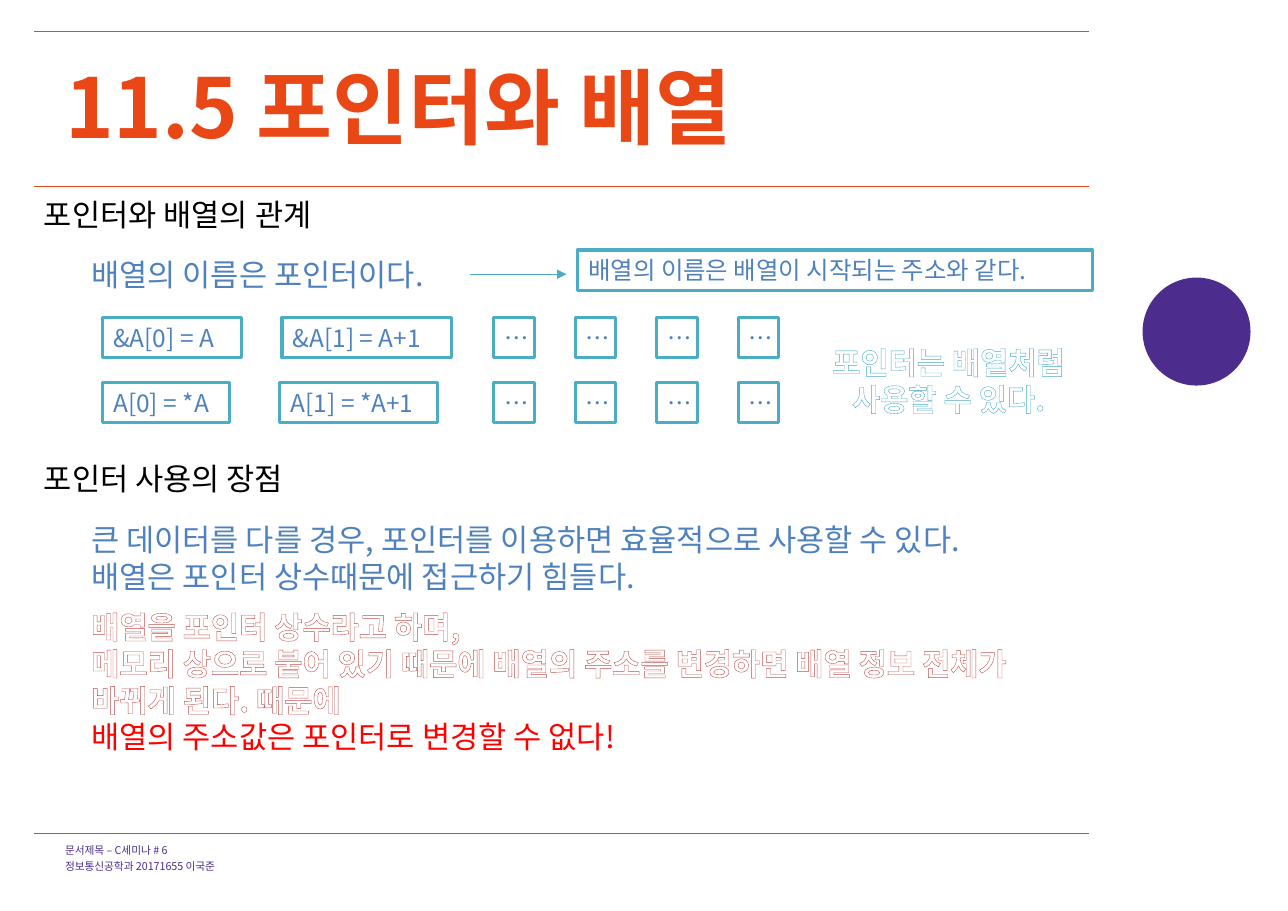
from lxml import etree
from pptx import Presentation
from pptx.dml.color import RGBColor
from pptx.enum import shapes, text
from pptx.oxml.ns import qn
from pptx.util import Inches, Pt

FONT = "Noto Sans CJK KR"
ORANGE, PURPLE, BLUE, TEAL = "E94716", "4C2C8D", "4F81BD", "4BACC6"
BLACK, WHITE, RED, BRICK = "000000", "FFFFFF", "FF0000", "C0504D"

TITLE = "11.5 포인터와 배열"
FOOTER = ["문서제목 – C세미나 # 6", "정보통신공학과 20171655 이국준"]
RULES_Y = [0.28, 1.69, 7.56]

HEADING = {"size": 20, "color": BLACK}
BODY = {"size": 20, "color": BLUE}
CODE = {"size": 16, "color": BLUE}
ALERT = {"size": 20, "color": RED}
TEAL_OUTLINE = {"size": 20, "color": WHITE, "bold": True, "outline": (TEAL, 0.8)}
BRICK_OUTLINE = {"size": 20, "color": WHITE, "bold": True, "outline": (BRICK, 0.52)}

# left, top, width, height, alignment, [(line, format)]
TEXTS = [
    (0.3, 1.73, 2.92, 0.44, "LEFT", [("포인터와 배열의 관계", HEADING)]),
    (0.73, 2.27, 3.55, 0.44, "LEFT", [("배열의 이름은 포인터이다.", BODY)]),
    (7.34, 3.07, 2.54, 0.77, "CENTER", [
        ("포인터는 배열처럼", TEAL_OUTLINE),
        ("사용할 수 있다.", TEAL_OUTLINE)]),
    (0.3, 4.13, 2.74, 0.44, "LEFT", [("포인터 사용의 장점", HEADING)]),
    (0.73, 4.68, 9.06, 0.77, "LEFT", [
        ("큰 데이터를 다를 경우, 포인터를 이용하면 효율적으로 사용할 수 있다.", BODY),
        ("배열은 포인터 상수때문에 접근하기 힘들다.", BODY)]),
    (0.73, 5.47, 9.06, 1.45, "LEFT", [
        ("배열을 포인터 상수라고 하며,", BRICK_OUTLINE),
        ("메모리 상으로 붙어 있기 때문에 배열의 주소를 변경하면 배열 정보 전체가 바뀌게 된다. 때문에",
         BRICK_OUTLINE),
        ("배열의 주소값은 포인터로 변경할 수 없다!", ALERT)]),
]

BOX_HEIGHT = 0.37
NOTE = (5.24, 2.27, 4.68, "배열의 이름은 배열이 시작되는 주소와 같다.")
# top, [(left, width, text)]
CODE_ROWS = [
    (2.88, [(0.93, 1.26, "&A[0] = A"), (2.56, 1.54, "&A[1] = A+1")]),
    (3.47, [(0.93, 1.15, "A[0] = *A"), (2.54, 1.43, "A[1] = *A+1")]),
]
DOTS_LEFT, DOTS_STEP, DOTS_COUNT = 4.48, 0.74, 4


def rgb(value):
    return RGBColor.from_string(value)


def add_outline(span, color, width):
    """Draw the letters of a run with a contour line."""
    line = etree.Element(qn("a:ln"), w=str(Pt(width)))
    fill = etree.SubElement(line, qn("a:solidFill"))
    etree.SubElement(fill, qn("a:srgbClr"), val=color)
    span.font._element.insert(0, line)


def write(shape, lines, align="LEFT", inset=(0.1, 0.05), **spacing):
    frame = shape.text_frame
    settings = {"word_wrap": True, "auto_size": text.MSO_AUTO_SIZE.NONE,
                "vertical_anchor": text.MSO_ANCHOR.TOP,
                "margin_left": Inches(inset[0]), "margin_right": Inches(inset[0]),
                "margin_top": Inches(inset[1]), "margin_bottom": Inches(inset[1])}
    for name, value in settings.items():
        setattr(frame, name, value)
    for index, (words, style) in enumerate(lines):
        para = frame.add_paragraph() if index else frame.paragraphs[0]
        para.alignment = text.PP_ALIGN[align]
        for name, value in spacing.items():
            setattr(para, name, value)
        span = para.add_run()
        span.text = words
        font = {"name": FONT, "size": Pt(style["size"]), "bold": style.get("bold", False)}
        for name, value in font.items():
            setattr(span.font, name, value)
        span.font.color.rgb = rgb(style["color"])
        etree.SubElement(span.font._element, qn("a:ea"), typeface=FONT)
        if "outline" in style:
            add_outline(span, *style["outline"])


def add_line(page, start, end, color, width, arrow=False):
    line = page.shapes.add_connector(
        shapes.MSO_CONNECTOR.STRAIGHT, *map(Inches, start + end))
    line.line.color.rgb = rgb(color)
    line.line.width = Pt(width)
    if arrow:
        etree.SubElement(line.line._get_or_add_ln(), qn("a:tailEnd"), type="triangle")
    etree.SubElement(line._element.spPr, qn("a:effectLst"))


def add_text(page, left, top, width, height, lines, **options):
    box = page.shapes.add_textbox(*map(Inches, (left, top, width, height)))
    write(box, lines, **options)


def add_box(page, left, top, width, words):
    box = page.shapes.add_shape(
        shapes.MSO_SHAPE.RECTANGLE, *map(Inches, (left, top, width, BOX_HEIGHT)))
    box.shadow.inherit = False
    box.fill.solid()
    box.fill.fore_color.rgb = rgb(WHITE)
    box.line.color.rgb = rgb(TEAL)
    box.line.width = Pt(2)
    write(box, [(words, CODE)])


def main():
    deck = Presentation()
    deck.slide_width, deck.slide_height = Inches(11.69), Inches(8.27)
    page = deck.slides.add_slide(deck.slide_layouts[5])

    for y in RULES_Y:
        add_line(page, (0.31, y), (9.88, y), ORANGE, 0.3)
    circle = page.shapes.add_shape(
        shapes.MSO_SHAPE.OVAL, *map(Inches, (10.37, 2.52, 0.98, 0.98)))
    circle.shadow.inherit = False
    circle.fill.solid()
    circle.fill.fore_color.rgb = rgb(PURPLE)
    circle.line.fill.background()

    title = page.shapes.title
    place = {"left": 0.59, "top": 0.51, "width": 10.06, "height": 0.68}
    for name, value in place.items():
        setattr(title, name, Inches(value))
    write(title, [(TITLE, {"size": 54, "color": ORANGE, "bold": True})], inset=(0, 0))
    add_text(page, 0.59, 7.65, 9.29, 0.28,
             [(line, {"size": 7, "color": PURPLE}) for line in FOOTER],
             inset=(0, 0), line_spacing=Pt(9), space_before=Pt(1.4))

    for left, top, width, height, align, lines in TEXTS:
        add_text(page, left, top, width, height, lines, align=align)

    left, top, width, words = NOTE
    add_box(page, left, top, width, words)
    add_line(page, (4.27, 2.49), (5.14, 2.49), TEAL, 0.5, arrow=True)
    dots = [(DOTS_LEFT + DOTS_STEP * i, BOX_HEIGHT, "…") for i in range(DOTS_COUNT)]
    for top, cells in CODE_ROWS:
        for left, width, words in cells + dots:
            add_box(page, left, top, width, words)

    deck.save("out.pptx")


if __name__ == "__main__":
    main()
